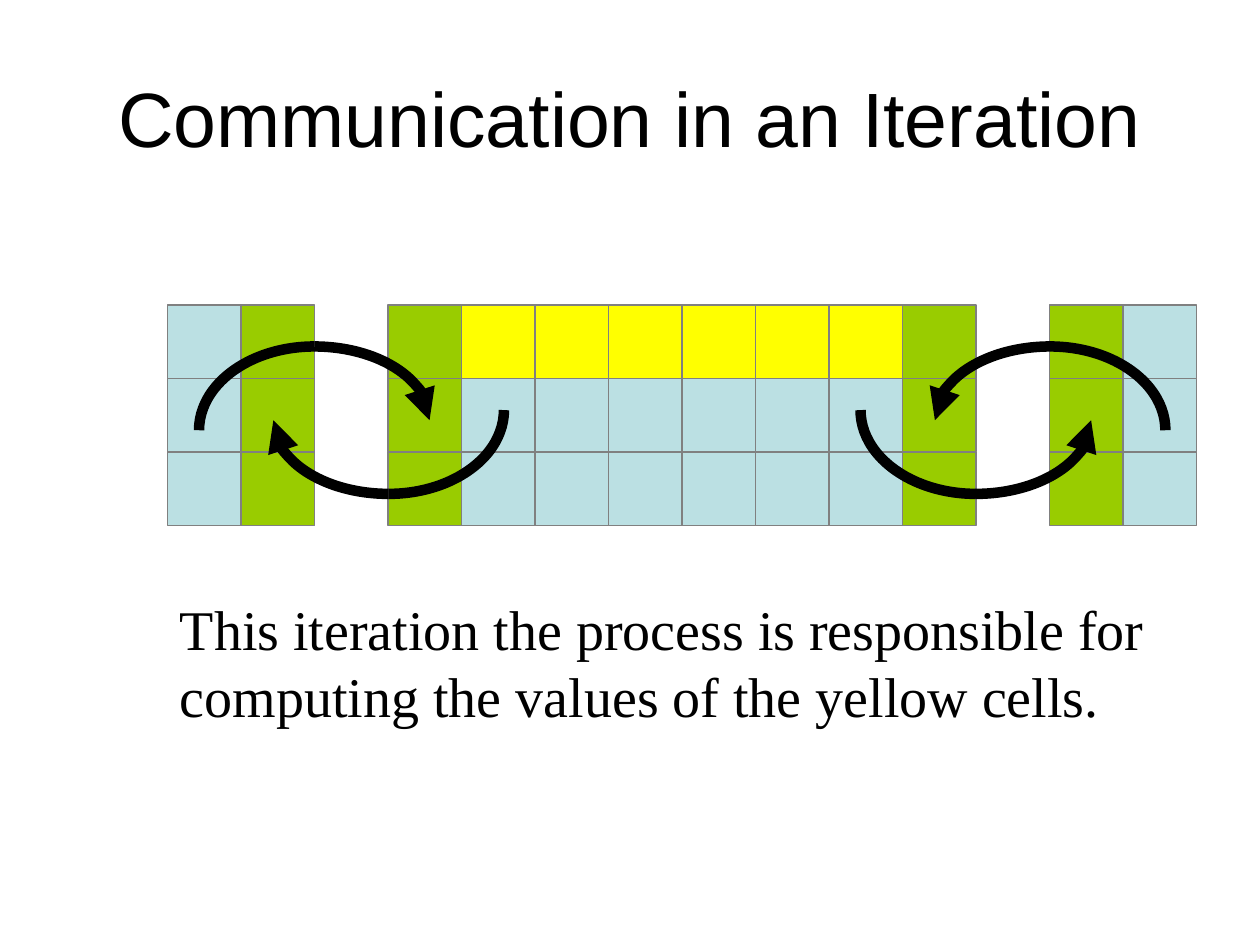
from lxml import etree
from pptx import Presentation
from pptx.dml.color import RGBColor
from pptx.enum import shapes, text
from pptx.oxml import ns
from pptx.util import Inches, Pt

COLORS = {"B": "BBE0E3", "G": "99CC00", "Y": "FFFF00",
          "grid": "808080", "black": "000000"}
CELL = 7 / 12
# One letter per cell colour; a dot leaves a gap between processes
ROWS = ["BG.GYYYYYYG.GB", "BG.GBBBBBBG.GB", "BG.GBBBBBBG.GB"]


def rgb(name):
    return RGBColor.from_string(COLORS[name])


def style_text(tf, font, size, align):
    for p in tf.paragraphs:
        p.alignment = align
        for r in p.runs:
            r.font.name = font
            r.font.size = Pt(size)
            r.font.color.rgb = rgb("black")


def add_title(s, x, y, w, h):
    title = s.shapes.title
    title.left, title.top, title.width, title.height = map(Inches, (x, y, w, h))
    tf = title.text_frame
    tf.text = "Communication in an Iteration"
    tf.vertical_anchor = text.MSO_ANCHOR.MIDDLE
    style_text(tf, "Arial", 44, text.PP_ALIGN.CENTER)


def add_cells(s, x, y):
    for i, row in enumerate(ROWS):
        for j, kind in enumerate(row):
            if kind == ".":
                continue
            sp = s.shapes.add_shape(
                shapes.MSO_SHAPE.RECTANGLE, Inches(x + j * CELL),
                Inches(y + i * CELL), Inches(CELL), Inches(CELL))
            sp.shadow.inherit = False
            sp.fill.solid()
            sp.fill.fore_color.rgb = rgb(kind)
            sp.line.color.rgb = rgb("grid")
            sp.line.width = Pt(0.75)


def add_quarter_arc(group, x, y, w, h, start, arrow_end=None):
    """Clockwise quarter ellipse from the start angle in degrees."""
    sp = group.shapes.add_shape(shapes.MSO_SHAPE.ARC, *map(Inches, (x, y, w, h)))
    sp.shadow.inherit = False
    sp.fill.background()
    for i, angle in enumerate((start, (start + 90) % 360)):
        sp.adjustments[i] = angle * 0.6  # 60000 units a degree, over 100000
    sp.line.color.rgb = rgb("black")
    sp.line.width = Pt(6)
    if arrow_end:
        end = etree.SubElement(sp.line._get_or_add_ln(), ns.qn(f"a:{arrow_end}"))
        end.set("type", "triangle")


def add_exchange(s, x, edge, upper, clockwise):
    """Half-ellipse arrow whose top (upper) or bottom lies at the edge."""
    w, plain_h, arrow_h = 1.83, 1.33, 1.17
    group = s.shapes.add_group_shape()
    first = 180 if upper else 0
    second = first + 90
    plain, arrow = (first, second) if clockwise else (second, first)
    arrow_end = "tailEnd" if clockwise else "headEnd"
    for h, start, end in ((plain_h, plain, None), (arrow_h, arrow, arrow_end)):
        add_quarter_arc(group, x, edge if upper else edge - h, w, h, start, end)


def add_caption(s, x, y, w, h):
    tf = s.shapes.add_textbox(*map(Inches, (x, y, w, h))).text_frame
    tf.word_wrap = False
    tf.text = ("This iteration the process is responsible for\n"
               "computing the values of the yellow cells.")
    style_text(tf, "Times New Roman", 32, text.PP_ALIGN.LEFT)
    for p in tf.paragraphs:
        p.line_spacing = Pt(38.4)


def main():
    prs = Presentation()
    prs.slide_width, prs.slide_height = Inches(10), Inches(7.5)
    s = prs.slides.add_slide(prs.slide_layouts[5])
    add_title(s, 0.5, 0.3, 9, 1.25)
    add_cells(s, 1.33, 2.42)
    add_caption(s, 1.33, 4.67, 7.86, 1.17)
    # Border values sent between neighbouring processes
    add_exchange(s, 2.17, 3.92, upper=False, clockwise=True)
    add_exchange(s, 6.83, 3.92, upper=False, clockwise=False)
    add_exchange(s, 7.42, 2.75, upper=True, clockwise=False)
    add_exchange(s, 1.58, 2.75, upper=True, clockwise=True)
    prs.save("out.pptx")


if __name__ == "__main__":
    main()
